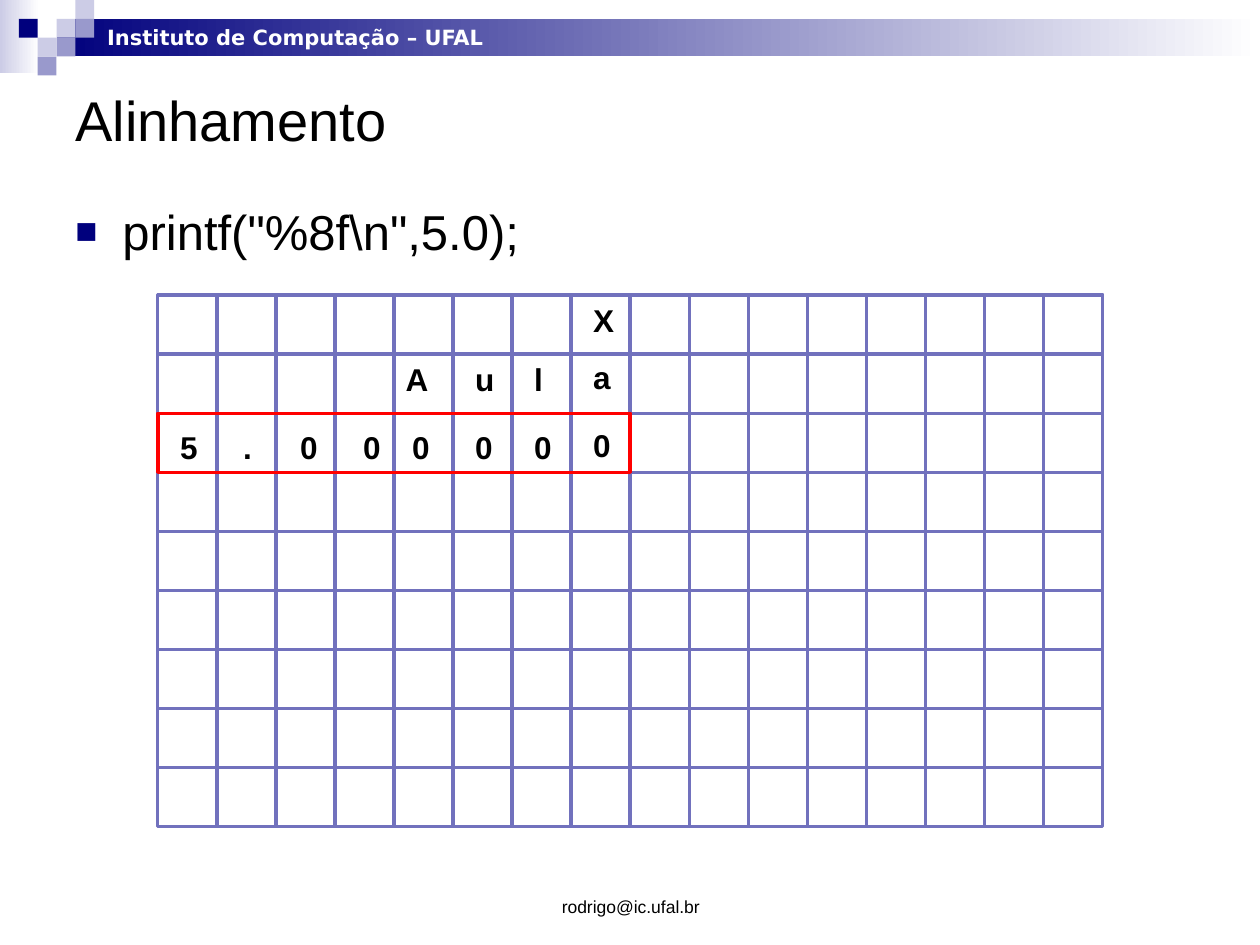
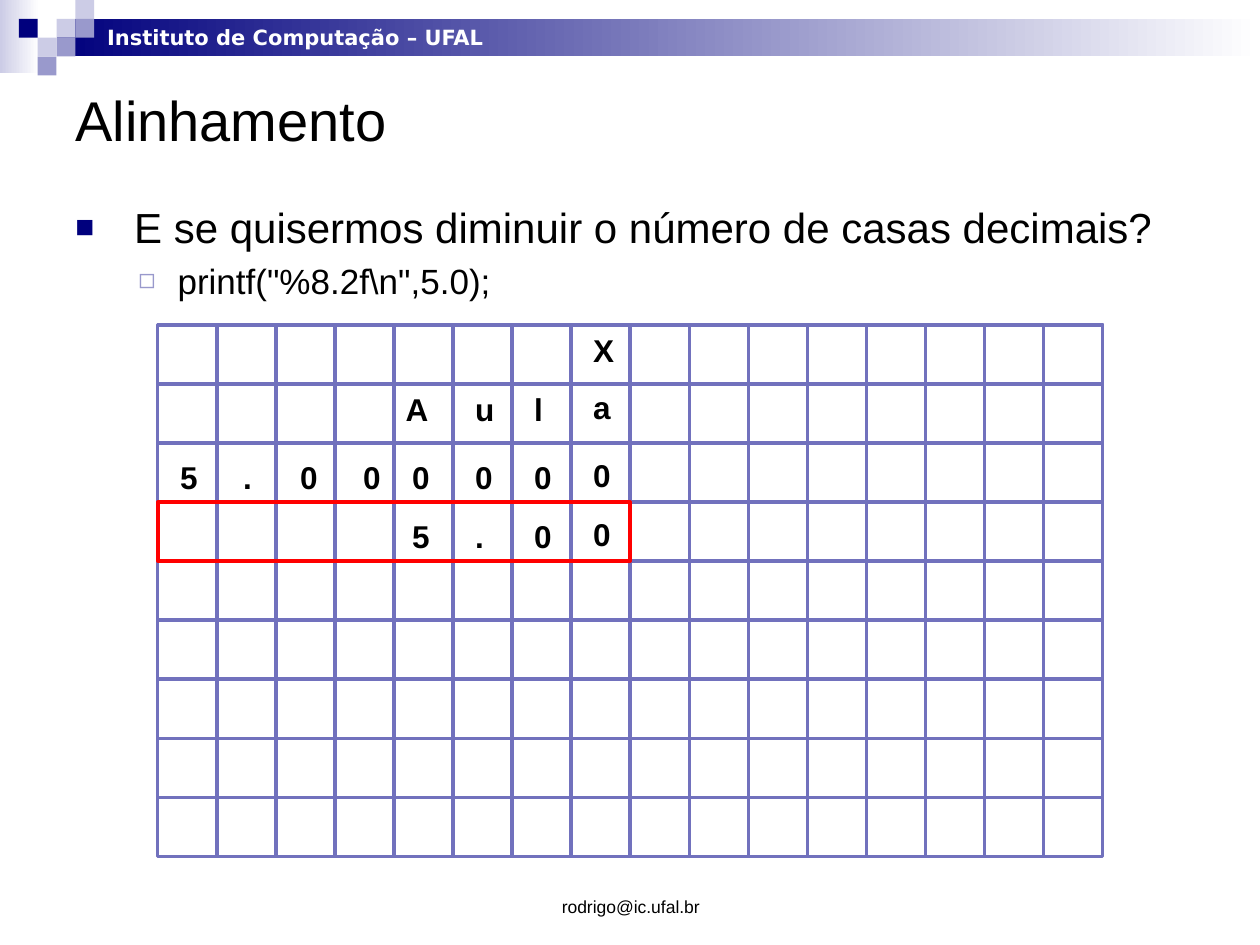
from lxml import etree
from pptx import Presentation
from pptx.dml.color import RGBColor
from pptx.enum.shapes import MSO_SHAPE as Preset
from pptx.enum.text import MSO_ANCHOR as Anchor, MSO_AUTO_SIZE as AutoSize, PP_ALIGN as Align
from pptx.oxml.ns import qn
from pptx.util import Cm, Pt

NAVY = RGBColor(0x00, 0x00, 0x7D)
PERIWINKLE = RGBColor(0x99, 0x99, 0xCC)
LAVENDER = RGBColor(0xCC, 0xCC, 0xE6)
GRID_BLUE = RGBColor(0x71, 0x71, 0xBD)
RED = RGBColor(0xFF, 0x00, 0x00)
WHITE = RGBColor(0xFF, 0xFF, 0xFF)
BLACK = RGBColor(0x00, 0x00, 0x00)

ROWS, COLUMNS, FIELD = 9, 16, 8
CELL = 19.05 / COLUMNS
# Left of each character box and drop below its row, measured from the grid
CHAR_LEFTS = (0.2, 1.47, 2.62, 3.89, 4.88, 6.15, 7.34, 8.53)
ROW_DROPS = (0, 0, 0.18, 0.18)
CHAR_WIDTHS = {"X": 0.94, "A": 0.97, "u": 0.91, "l": 0.69, ".": 0.69}
CHAR_NUDGES = {"A": -0.13}

# Font size, left margin, hanging indent (cm), bullet, its colour and percentage
LEVELS = (
    (0.95, "■", NAVY, 75, 0.95),
    (2.06, "◻", PERIWINKLE, 80, 0.79),
)


def add_rect(slide, left, top, width, height):
    """Add a rectangle without shadow, fill or line."""
    rect = slide.shapes.add_shape(
        Preset.RECTANGLE, Cm(left), Cm(top), Cm(width), Cm(height))
    rect.shadow.inherit = False
    rect.fill.background()
    rect.line.fill.background()
    return rect


def add_block(slide, box, color, fade=False):
    """Add a filled rectangle, optionally fading to white on the right."""
    fill = add_rect(slide, *box).fill
    if fade:
        fill.gradient()
        fill.gradient_angle = 0
        for stop, stop_color in zip(fill.gradient_stops, (color, WHITE)):
            stop.color.rgb = stop_color
    else:
        fill.solid()
        fill.fore_color.rgb = color


def add_outline(slide, left, top, width, height, color=GRID_BLUE):
    """Add an unfilled rectangle with a grid line around it."""
    outline = add_rect(slide, left, top, width, height)
    outline.line.color.rgb = color
    outline.line.width = Pt(2)
    return outline


def format_paragraph(paragraph, size, color=BLACK, bold=False, font="Arial"):
    """Set the font of every run of a paragraph."""
    for run in paragraph.runs:
        run.font.name = font
        run.font.size = Pt(size)
        run.font.bold = bold
        run.font.color.rgb = color


def add_text(slide, box, text, size, wrap=True, anchor=Anchor.TOP,
             align=Align.LEFT, **style):
    """Add a one-paragraph text box; an unwrapped one fits its text."""
    frame = slide.shapes.add_textbox(*map(Cm, box)).text_frame
    frame.word_wrap = wrap
    frame.auto_size = AutoSize.NONE if wrap else AutoSize.SHAPE_TO_FIT_TEXT
    frame.vertical_anchor = anchor
    frame.text = text
    frame.paragraphs[0].alignment = align
    format_paragraph(frame.paragraphs[0], size, **style)


def add_header(slide, unit=0.38):
    """Draw the fading band and the checker pattern in the top corner."""
    add_block(slide, (0, 0, 0.79, 1.47), LAVENDER, fade=True)
    add_block(slide, (3 * unit, unit, 25.4 - 3 * unit, 2 * unit), NAVY, fade=True)
    checkers = (
        (LAVENDER, ((3, 1), (4, 0), (2, 2))),
        (PERIWINKLE, ((4, 1), (3, 2), (2, 3))),
        (NAVY, ((1, 1),)),
    )
    for color, places in checkers:
        for column, row in places:
            add_block(slide, (column * unit, row * unit, unit, unit), color)
    add_text(slide, (1.91, unit, 8.23, 2 * unit), "Instituto de Computação – UFAL",
             12, wrap=False, color=WHITE, bold=True, font="DejaVu Sans")


def set_bullet(paragraph, level):
    """Give a paragraph the indent and bullet of its level."""
    margin, mark, color, percent, hanging = LEVELS[level]
    paragraph.level = level
    properties = paragraph._p.get_or_add_pPr()
    properties.set("marL", str(Cm(margin)))
    properties.set("indent", str(-Cm(hanging)))
    bullet_color = etree.SubElement(properties, qn("a:buClr"))
    etree.SubElement(bullet_color, qn("a:srgbClr"), val=str(color))
    etree.SubElement(properties, qn("a:buSzPct"), val=str(percent * 1000))
    etree.SubElement(properties, qn("a:buFont"), typeface="Arial")
    etree.SubElement(properties, qn("a:buChar"), char=mark)


def add_body(slide, box, items):
    """Write the bulleted items, one level deeper each, as (text, size)."""
    frame = slide.shapes.add_textbox(*map(Cm, box)).text_frame
    frame.word_wrap = True
    for level, (text, size) in enumerate(items):
        paragraph = frame.add_paragraph() if level else frame.paragraphs[0]
        paragraph.text = text
        format_paragraph(paragraph, size)
        set_bullet(paragraph, level)
        paragraph.space_before = Pt(size * 0.2)


def add_screen(slide, left, top, lines):
    """Draw the character grid with its printed lines, the last one framed."""
    width, height = COLUMNS * CELL, ROWS * CELL
    add_outline(slide, left, top, width, height)
    for row in range(ROWS - 1):
        add_outline(slide, left, top + row * CELL, width, CELL)

    # Upright strips are turned about their centres; a square spans columns 1 to 9
    add_outline(slide, left + CELL, top, height, height).rotation = 270
    strip_top = top + (height - CELL) / 2
    for column in range(1, COLUMNS - 1):
        if column != 9:
            strip_left = left + (column + 0.5) * CELL - height / 2
            add_outline(slide, strip_left, strip_top, height, CELL).rotation = 270

    add_outline(slide, left, top + (len(lines) - 1) * CELL, FIELD * CELL, CELL, RED)
    for row, line in enumerate(lines):
        for column, char in enumerate(line.rjust(FIELD)):
            if char == " ":
                continue
            lift = 0.04 if row and column == FIELD - 1 else 0
            box = (left + CHAR_LEFTS[column] + CHAR_NUDGES.get(char, 0),
                   top + row * CELL + ROW_DROPS[row] - lift,
                   CHAR_WIDTHS.get(char, 0.86), 1.02)
            add_text(slide, box, char, 18, wrap=False, bold=True)


def add_alignment_slide(deck, items, screen_top, lines):
    """Add one slide about alignment: header, title, bullets and screen."""
    slide = deck.slides.add_slide(deck.slide_layouts[6])
    add_header(slide)
    add_text(slide, (1.27, 1.27, 22.86, 2.26), "Alinhamento", 32, anchor=Anchor.MIDDLE)
    add_text(slide, (8.69, 17.35, 8.05, 1.27), "rodrigo@ic.ufal.br", 10,
             anchor=Anchor.BOTTOM, align=Align.CENTER)
    add_body(slide, (1.27, 3.94, 22.86, 13.21), items)
    add_screen(slide, 3.18, screen_top, lines)


deck = Presentation()
deck.slide_width, deck.slide_height = Cm(25.4), Cm(19.05)
printed = ["X", "Aula", "5.000000"]
add_alignment_slide(deck, [('printf("%8f\\n",5.0);', 28)], 5.95, printed)
add_alignment_slide(
    deck,
    [(" E se quisermos diminuir o número de casas decimais?", 24),
     ('printf("%8.2f\\n",5.0);', 20)],
    6.55, printed + ["5.00"])
deck.save("out.pptx")
